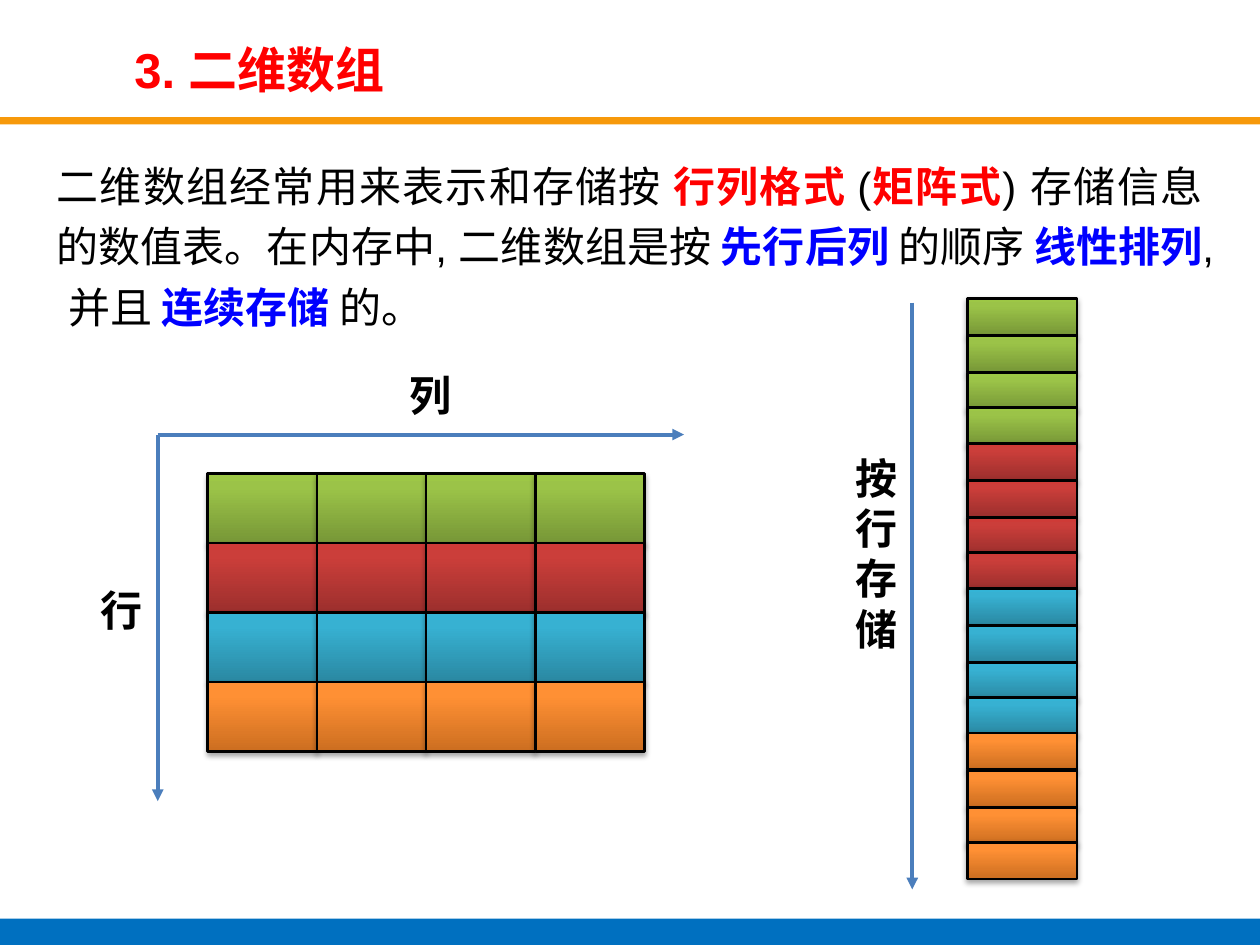
from copy import deepcopy
from lxml import etree
from pptx import Presentation
from pptx import util as u
from pptx.dml.color import RGBColor
from pptx.enum import lang, shapes, text
from pptx.oxml import ns

COLORS = {
    "black": "000000", "red": "FF0000", "blue": "0000FF",
    "rule": "F7990A", "footer": "0070C0", "arrow": "4B7EBC",
}
ROW_GRADIENTS = [
    ("779737", "9BC348", "9DC746"),
    ("9C2F2D", "CB3E3A", "CE3B37"),
    ("2A88A2", "37B1D2", "34B4D6"),
    ("CC6E20", "FF9034", "FF9136"),
]

presentation = Presentation()
presentation.slide_width = u.Cm(25.4)
presentation.slide_height = u.Cm(19.05)
slide = presentation.slides.add_slide(presentation.slide_layouts[6])


def add_text(left, top, width, height, runs, size=24):
    box = slide.shapes.add_textbox(*map(u.Cm, (left, top, width, height)))
    box.text_frame.word_wrap = True
    paragraph = box.text_frame.paragraphs[0]
    for wording, color, bold in runs:
        run = paragraph.add_run()
        run.text = wording
        run.font.name = "Arial"
        run.font.size = u.Pt(size)
        run.font.bold = bold
        run.font.color.rgb = RGBColor.from_string(COLORS[color])
        run.font.language_id = lang.MSO_LANGUAGE_ID.SIMPLIFIED_CHINESE
    return box


def add_cell(left, top, height, gradient):
    cell = slide.shapes.add_shape(
        shapes.MSO_SHAPE.RECTANGLE, u.Cm(left), u.Cm(top), u.Cm(2.2), u.Cm(height))
    cell.fill.gradient()
    cell.fill.gradient_angle = 90
    stop_list = cell.element.spPr.find(".//" + ns.qn("a:gsLst"))
    stop_list.append(deepcopy(stop_list[-1]))
    for stop, position, color in zip(cell.fill.gradient_stops, (0, 0.8, 1), gradient):
        stop.position = position
        stop.color.rgb = RGBColor.from_string(color)
    cell.line.color.rgb = RGBColor.from_string(COLORS["black"])
    cell.line.width = u.Pt(1.5)
    cell.shadow.inherit = False
    effects = cell.element.spPr.find(ns.qn("a:effectLst"))
    shadow = etree.SubElement(
        effects, ns.qn("a:outerShdw"), blurRad="40000", dist="23000",
        dir="5400000", rotWithShape="0")
    shade = etree.SubElement(shadow, ns.qn("a:srgbClr"), val=COLORS["black"])
    etree.SubElement(shade, ns.qn("a:alpha"), val="35000")


for top, height, color in [(2.36, 0.15, "rule"), (18.52, 0.53, "footer")]:
    bar = slide.shapes.add_shape(
        shapes.MSO_SHAPE.RECTANGLE, 0, u.Cm(top), presentation.slide_width, u.Cm(height))
    bar.fill.solid()
    bar.fill.fore_color.rgb = RGBColor.from_string(COLORS[color])
    bar.line.fill.background()
    bar.shadow.inherit = False

body = add_text(0.89, 2.9, 23.6, 15.21, [
    ("二维数组经常用来表示和存储按", "black", False),
    (" 行列格式 ", "red", True),
    ("(", "black", False),
    ("矩阵式", "red", True),
    (") 存储信息的数值表。在内存中, 二维数组是按 ", "black", False),
    ("先行后列", "blue", True),
    (" 的顺序 ", "black", False),
    ("线性排列", "blue", True),
    (", 并且 ", "black", False),
    ("连续存储 ", "blue", True),
    ("的。", "black", False),
])
body_paragraph = body.text_frame.paragraphs[0]
body_paragraph.alignment = text.PP_ALIGN.JUSTIFY
body_paragraph.line_spacing = 1.2
body_paragraph.space_before = u.Pt(4.8)

title = add_text(2.46, 0.69, 17.42, 1.4, [("3. 二维数组", "red", True)], 28)
title.text_frame.vertical_anchor = text.MSO_ANCHOR.MIDDLE

for row, gradient in enumerate(ROW_GRADIENTS):
    for column in range(4):
        add_cell(4.19 + 2.2 * column, 9.55 + 1.4 * row, 1.4, gradient)

for row, gradient in enumerate(ROW_GRADIENTS):
    for offset in (0, 0.75, 1.5, 2.2):
        add_cell(19.51, 6.02 + 2.92 * row + offset, 0.74, gradient)

for ends in [(3.18, 8.76, 13.79, 8.76), (3.18, 8.76, 3.18, 16.15), (18.39, 6.1, 18.39, 17.93)]:
    arrow = slide.shapes.add_connector(shapes.MSO_CONNECTOR.STRAIGHT, *map(u.Cm, ends))
    arrow.line.color.rgb = RGBColor.from_string(COLORS["arrow"])
    arrow.line.width = u.Pt(2.25)
    etree.SubElement(arrow.line._get_or_add_ln(), ns.qn("a:tailEnd"), type="triangle")
    etree.SubElement(arrow.element.spPr, ns.qn("a:effectLst"))

for left, top, height, label in [
    (1.78, 11.66, 1.27, "行"), (8, 7.32, 1.27, "列"), (16.99, 8.99, 4.37, "按行存储"),
]:
    label_box = add_text(left, top, 1.19, height, [(label, "black", True)])
    label_box.text_frame.auto_size = text.MSO_AUTO_SIZE.SHAPE_TO_FIT_TEXT

presentation.save("out.pptx")
